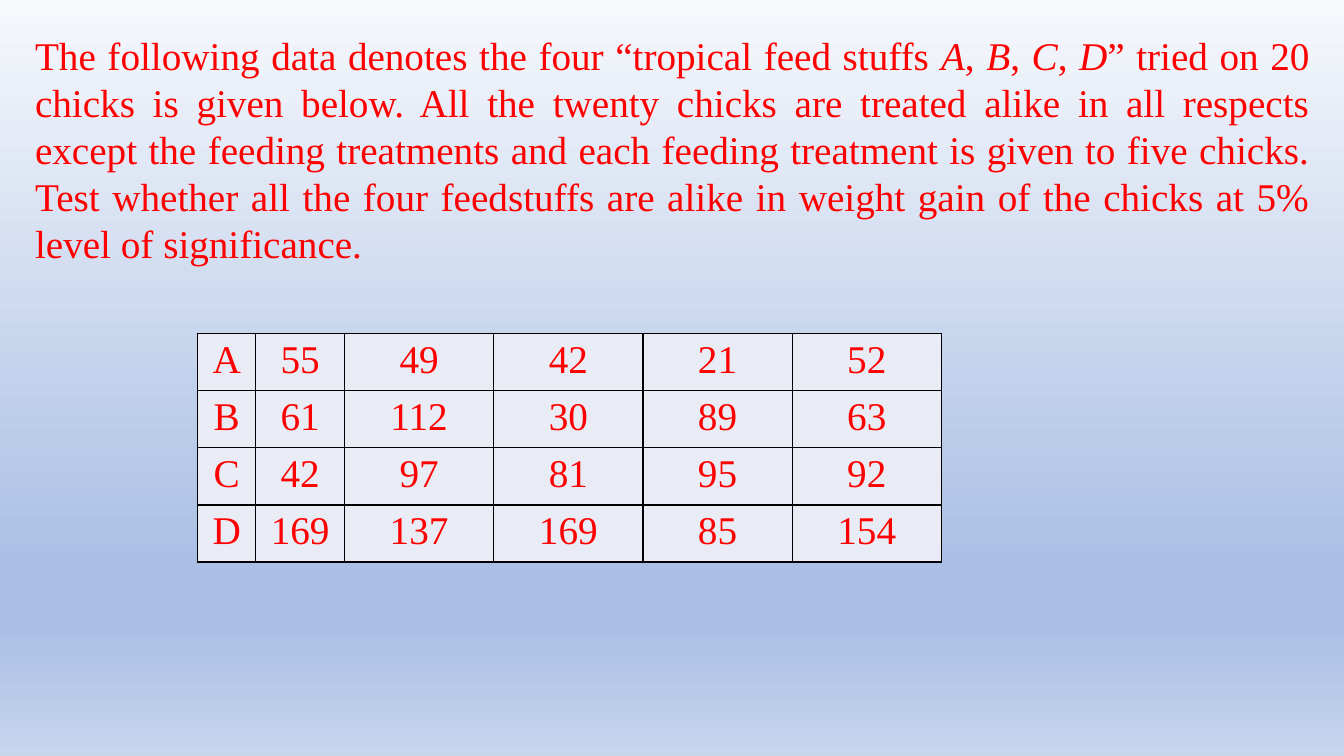
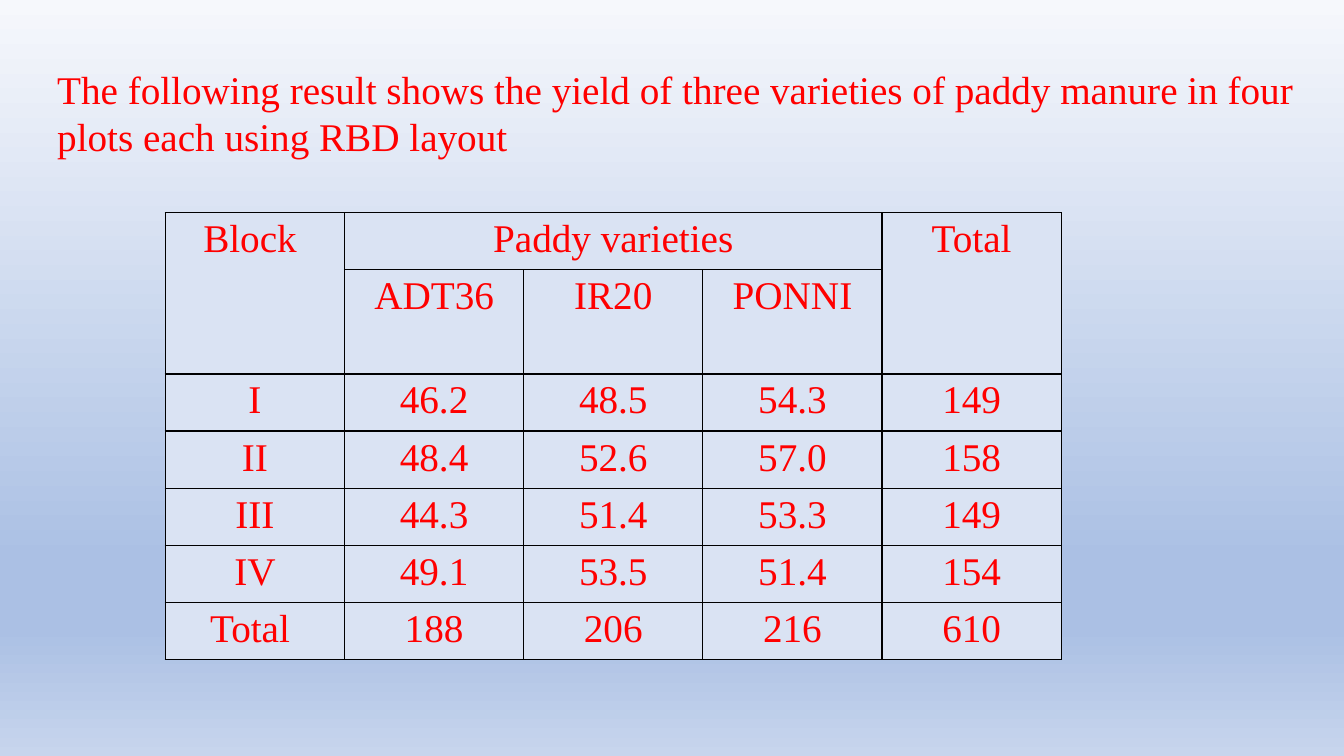
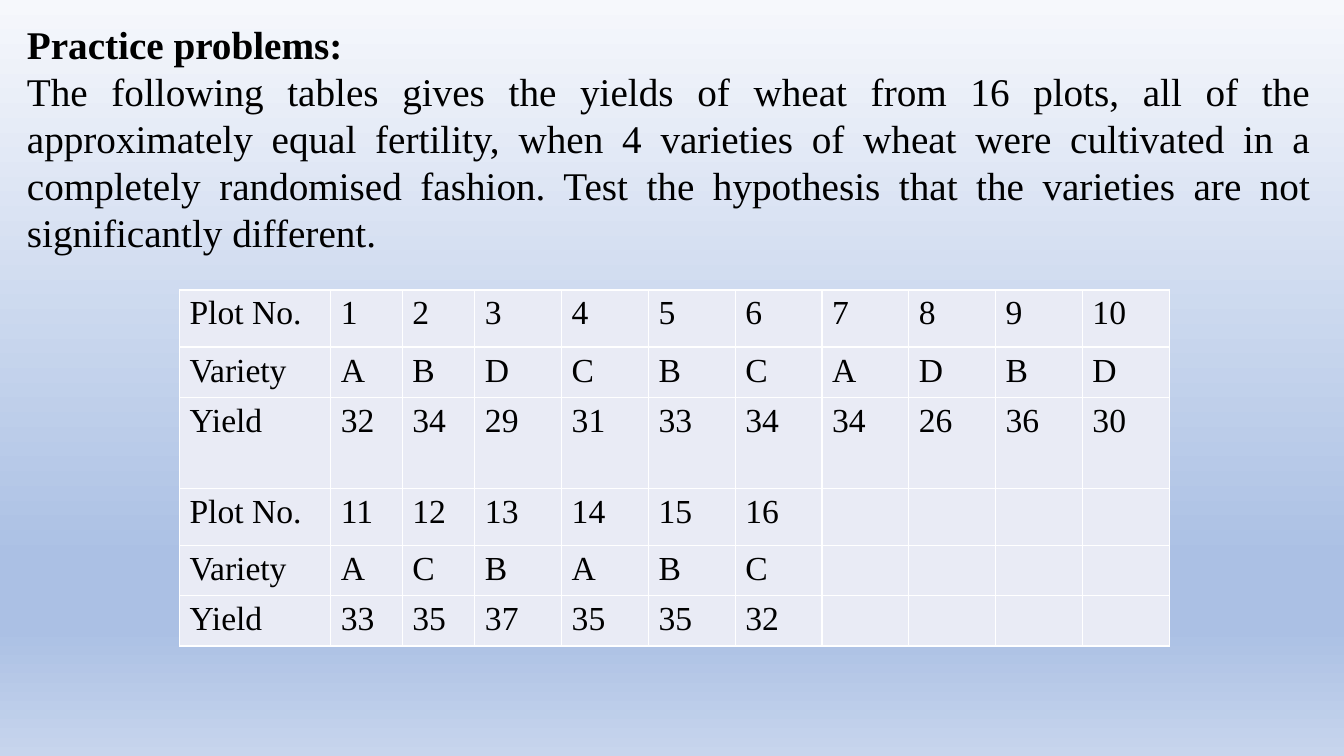
from lxml import etree
from pptx import Presentation
from pptx.dml.color import RGBColor
from pptx.enum.text import MSO_AUTO_SIZE, PP_ALIGN
from pptx.oxml.ns import qn
from pptx.util import Pt

LEFT = PP_ALIGN.LEFT
CENTER = PP_ALIGN.CENTER
JUSTIFY = PP_ALIGN.JUSTIFY
FIXED_SIZE = MSO_AUTO_SIZE.NONE

RED = "FF0000"
BLACK = "000000"
WHITE = "FFFFFF"
PALE_GREY = "E9EBF5"
PALE_BLUE = "DAE3F3"
BACKGROUND_STOPS = [(0, "F6F8FC"), (74, "ABC0E4"), (83, "ABC0E4"), (100, "C7D5ED")]

BODY = {"name": "Times New Roman", "size": Pt(28)}
SMALL = {**BODY, "size": Pt(24)}
ITALIC = {"italic": True}
BOLD = {"bold": True}
ROW = 40.8
SMALL_ROW = 36

FEED_QUESTION = [[
    ("The following data denotes the four “tropical feed stuffs ", {}),
    ("A", ITALIC), (", ", {}), ("B", ITALIC), (", ", {}),
    ("C", ITALIC), (", ", {}), ("D", ITALIC),
    ("” tried on 20 chicks is given below. All the twenty chicks are treated alike "
     "in all respects except the feeding treatments and each feeding treatment is "
     "given to five chicks. Test whether all the four feedstuffs are alike in weight "
     "gain of the chicks at 5% level of significance.", {}),
]]
FEED_GAINS = [
    ["A", "55", "49", "42", "21", "52"],
    ["B", "61", "112", "30", "89", "63"],
    ["C", "42", "97", "81", "95", "92"],
    ["D", "169", "137", "169", "85", "154"],
]

PADDY_QUESTION = [[
    ("The following result shows the yield of three varieties of paddy manure "
     "in four plots each using RBD layout", {}),
]]
PADDY_YIELDS = [
    ["Block ", "Paddy varieties", "", "", "Total"],
    ["", "ADT36", "IR20", "PONNI", ""],
    ["I", "46.2", "48.5", "54.3", "149"],
    ["II", "48.4", "52.6", "57.0", "158"],
    ["III", "44.3", "51.4", "53.3", "149"],
    ["IV", "49.1", "53.5", "51.4", "154"],
    ["Total ", "188", "206", "216", "610"],
]
PADDY_MERGES = [((0, 0), (1, 0)), ((0, 1), (0, 3)), ((0, 4), (1, 4))]

WHEAT_QUESTION = [
    [("Practice problems:", BOLD)],
    [("The following tables gives the yields of wheat from 16 plots, all of the "
      "approximately equal fertility, when 4 varieties of wheat were cultivated in a "
      "completely randomised fashion. Test the hypothesis that the varieties are not "
      "significantly different.", {})],
]
WHEAT_YIELDS = [
    ["Plot No.", "1", "2", "3", "4", "5", "6", "7", "8", "9", "10"],
    ["Variety", "A", "B", "D", "C", "B", "C", "A", "D", "B", "D"],
    ["Yield", "32", "34", "29", "31", "33", "34", "34", "26", "36", "30"],
    ["Plot No.", "11", "12", "13", "14", "15", "16"],
    ["Variety", "A", "C", "B", "A", "B", "C"],
    ["Yield", "33", "35", "37", "35", "35", "32"],
]


def rgb(value):
    return RGBColor.from_string(value)


def add_color(parent, value):
    etree.SubElement(parent, qn("a:srgbClr"), val=value)


def set_background(master):
    """Give every slide the shared vertical gradient."""
    fill = master.background.fill
    fill.gradient()
    fill.gradient_angle = 270
    stops = master.element.find(".//" + qn("a:gsLst"))
    for stop in list(stops):
        stops.remove(stop)
    for percent, color in BACKGROUND_STOPS:
        add_color(etree.SubElement(stops, qn("a:gs"), pos=str(percent * 1000)), color)


def add_span(para, text, color, style):
    span = para.add_run()
    span.text = text
    for name, value in style.items():
        setattr(span.font, name, value)
    span.font.color.rgb = rgb(color)


def add_question(slide, place, paragraphs, color, align):
    box = slide.shapes.add_textbox(*map(Pt, place))
    frame = box.text_frame
    frame.word_wrap = True
    frame.auto_size = FIXED_SIZE
    for index, spans in enumerate(paragraphs):
        para = frame.add_paragraph() if index else frame.paragraphs[0]
        para.alignment = align
        for text, extra in spans:
            add_span(para, text, color, {**BODY, **extra})


def set_borders(cell, color):
    properties = cell._tc.get_or_add_tcPr()
    for side in ("lnL", "lnR", "lnT", "lnB"):
        line = etree.SubElement(properties, qn("a:" + side), w=str(Pt(1)))
        add_color(etree.SubElement(line, qn("a:solidFill")), color)


def add_data_table(slide, corner, widths, heights, rows, color, fill, border,
                   align=CENTER, style=BODY, merges=()):
    size = (sum(widths), sum(heights))
    frame = slide.shapes.add_table(len(heights), len(widths), *map(Pt, corner + size))
    table = frame.table
    table.first_row = table.horz_banding = False
    for column, width in zip(table.columns, widths):
        column.width = Pt(width)
    for row, height in zip(table.rows, heights):
        row.height = Pt(height)
    for cell in table.iter_cells():
        set_borders(cell, border)
        cell.fill.solid()
        cell.fill.fore_color.rgb = rgb(fill)
    for first, last in merges:
        table.cell(*first).merge(table.cell(*last))
    for row_index, texts in enumerate(rows):
        for column_index, text in enumerate(texts):
            if text:
                para = table.cell(row_index, column_index).text_frame.paragraphs[0]
                para.alignment = align
                add_span(para, text, color, style)


def main():
    deck = Presentation()
    deck.slide_width, deck.slide_height = Pt(960), Pt(540)
    set_background(deck.slide_master)
    blank = deck.slide_layouts[6]
    feed, paddy, wheat = [deck.slides.add_slide(blank) for _ in range(3)]

    add_question(feed, (18, 18.7, 924.5, 244.8), FEED_QUESTION, RED, JUSTIFY)
    add_data_table(feed, (141.1, 238.3), [41.6, 63.4] + [106.6] * 4, [ROW] * 4,
                   FEED_GAINS, RED, PALE_GREY, BLACK)

    add_question(paddy, (33.8, 43.2, 902.9, 108.7), PADDY_QUESTION, RED, LEFT)
    add_data_table(paddy, (118.1, 151.9), [128] * 5, [ROW, 74.4] + [ROW] * 5,
                   PADDY_YIELDS, RED, PALE_BLUE, BLACK, merges=PADDY_MERGES)

    add_question(wheat, (12.2, 10.8, 931, 211), WHEAT_QUESTION, BLACK, JUSTIFY)
    add_data_table(wheat, (128.2, 207.1), [108, 51.2, 51.8] + [62] * 8,
                   [ROW, SMALL_ROW, 64.8, ROW, SMALL_ROW, SMALL_ROW],
                   WHEAT_YIELDS, BLACK, PALE_GREY, WHITE, JUSTIFY, SMALL)

    deck.save("out.pptx")


if __name__ == "__main__":
    main()
